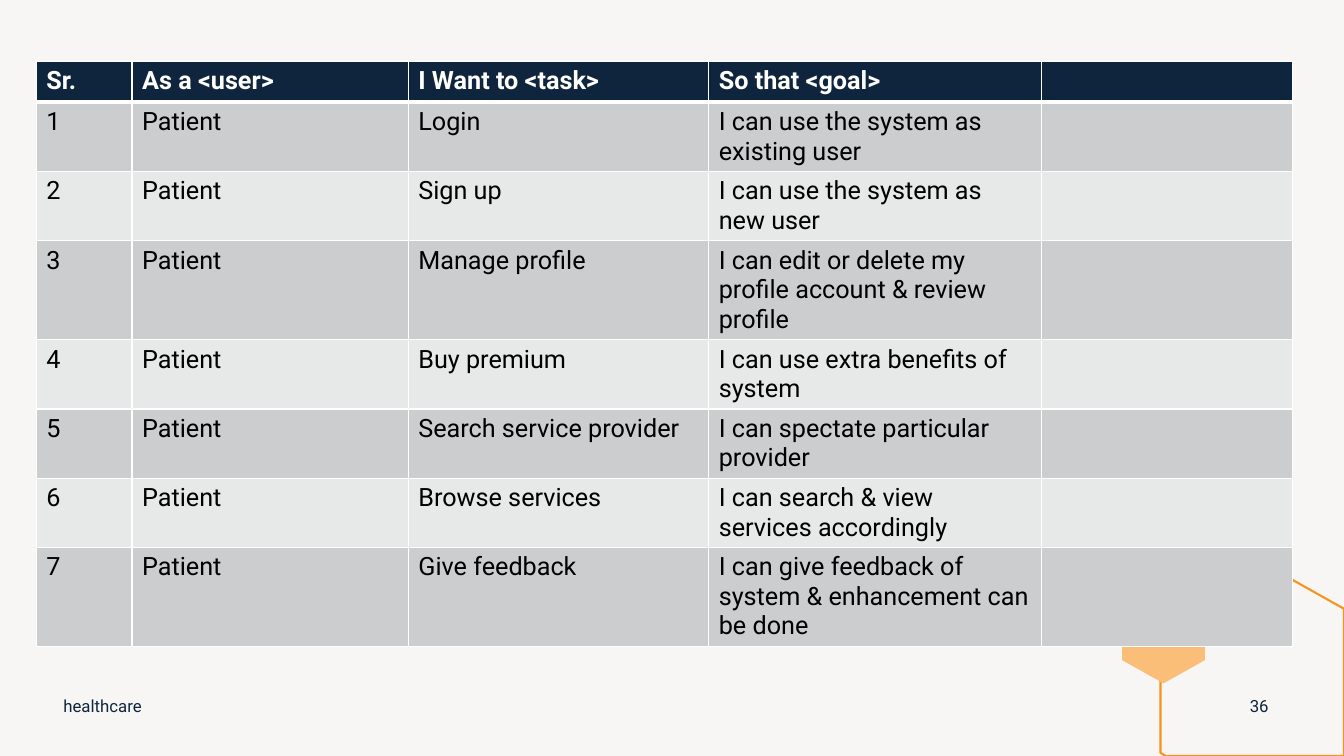
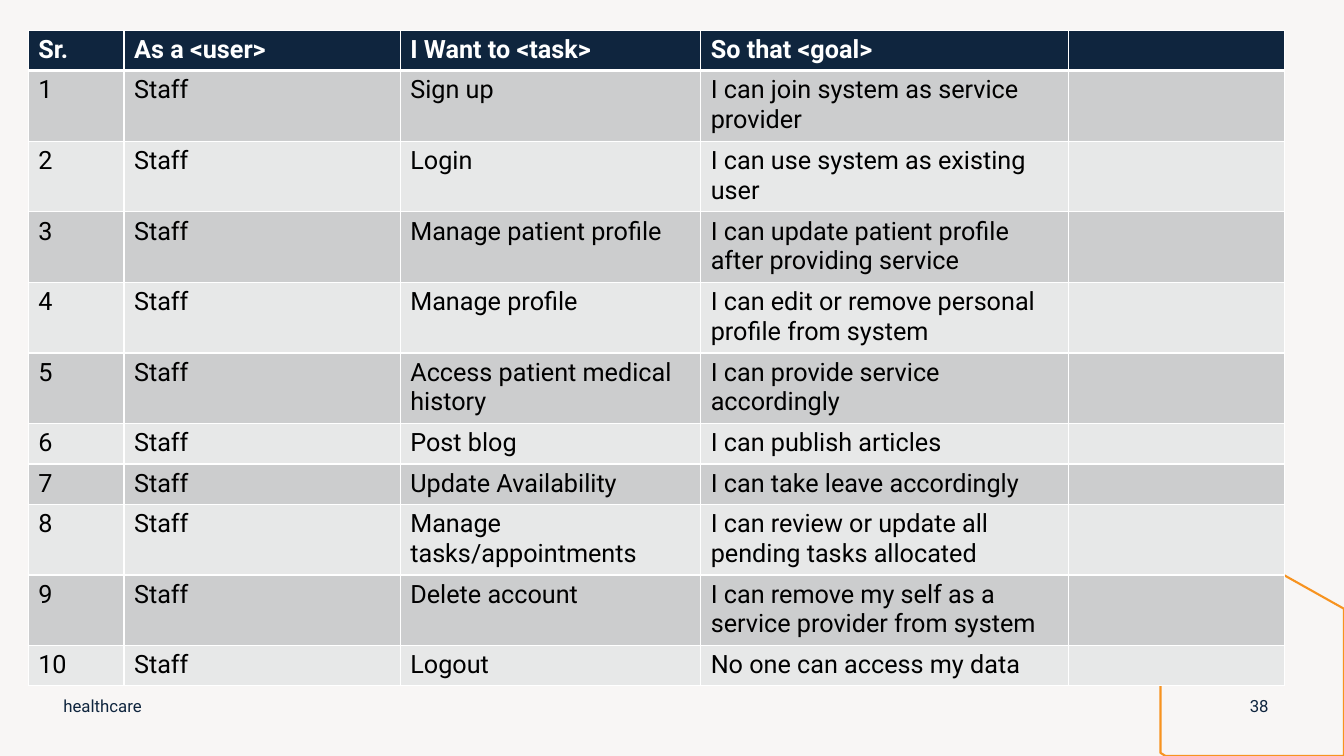
from lxml.etree import SubElement
from pptx import Presentation
from pptx.dml.color import RGBColor
from pptx.enum.text import MSO_ANCHOR, PP_ALIGN
from pptx.oxml.ns import qn
from pptx.util import Inches, Pt

FONT = "Roboto"
NAVY = "0F253E"
WHITE = "FFFFFF"
BLACK = "000000"
BACKGROUND = "F8F6F5"
ORANGE = "F79320"
PEACH = "FABE79"
BANDS = ("E7E8E8", "CCCDCE")

HEADINGS = ("Sr.", "As a <user>", "I Want to <task>", "So that <goal>", "")
LINE_HEIGHT = 0.29
CELL_PADDING = 0.1

LARGE_HEXAGON = [(12.6, 5.63), (13.33, 6.04), (13.33, 7.5),
                 (11.56, 7.5), (11.51, 7.47), (11.51, 6.25)]
SMALL_HEXAGON = [(11.54, 5.85), (11.95, 6.08), (11.95, 6.55),
                 (11.54, 6.78), (11.13, 6.55), (11.13, 6.08)]

# Each story holds the task, the goal and the number of text lines.
PATIENT_STORIES = [
    ("Login", "I can use the system as existing user", 2),
    ("Sign up", "I can use the system as new user", 2),
    ("Manage profile", "I can edit or delete my profile account & review profile", 3),
    ("Buy premium", "I can use extra benefits of system", 2),
    ("Search service provider", "I can spectate particular provider", 2),
    ("Browse services", "I can search & view services accordingly", 2),
    ("Give feedback", "I can give feedback of system & enhancement can be done", 3),
]
STAFF_STORIES = [
    ("Sign up", "I can join system as service provider", 2),
    ("Login", "I can use system as existing user", 2),
    ("Manage patient profile", "I can update patient profile after providing service", 2),
    ("Manage profile", "I can edit or remove personal profile from system", 2),
    ("Access patient medical history", "I can provide service accordingly", 2),
    ("Post blog", "I can publish articles", 1),
    ("Update Availability", "I can take leave accordingly", 1),
    ("Manage tasks/appointments", "I can review or update all pending tasks allocated", 2),
    ("Delete account", "I can remove my self as a service provider from system", 2),
    ("Logout", "No one can access my data", 1),
]


def color(value):
    """Return the colour for a hex string."""
    return RGBColor.from_string(value)


def add_run(paragraph, text, size, text_color, bold=False):
    """Add one styled run to a paragraph."""
    run = paragraph.add_run()
    run.text = text
    run.font.name = FONT
    run.font.size = Pt(size)
    run.font.bold = bold
    run.font.color.rgb = color(text_color)


def add_outline(slide, points, fill=None, line=None):
    """Draw a closed outline through points given in inches."""
    corners = [(Inches(x), Inches(y)) for x, y in points]
    builder = slide.shapes.build_freeform(*corners[0])
    builder.add_line_segments(corners[1:], close=True)
    shape = builder.convert_to_shape()
    shape.shadow.inherit = False
    if fill:
        shape.fill.solid()
        shape.fill.fore_color.rgb = color(fill)
    else:
        shape.fill.background()
    if line:
        shape.line.color.rgb = color(line)
        shape.line.width = Pt(1.5)
    else:
        shape.line.fill.background()


def add_footer_text(slide, text, left, width, alignment):
    """Add a text box on the footer line."""
    box = slide.shapes.add_textbox(Inches(left), Inches(6.8), Inches(width), Inches(0.4))
    frame = box.text_frame
    frame.word_wrap = True
    frame.vertical_anchor = MSO_ANCHOR.MIDDLE
    paragraph = frame.paragraphs[0]
    paragraph.alignment = alignment
    add_run(paragraph, text, 12, NAVY)


def set_borders(cell, top, bottom):
    """Give a cell white borders, with top and bottom widths in points."""
    properties = cell._tc.get_or_add_tcPr()
    for side, width in (("L", 1), ("R", 1), ("T", top), ("B", bottom)):
        line = SubElement(properties, qn(f"a:ln{side}"), w=str(Pt(width)))
        fill = SubElement(line, qn("a:solidFill"))
        SubElement(fill, qn("a:srgbClr"), val=WHITE)


def fill_cell(cell, text, row_index):
    """Style a cell by its row and write its text."""
    header = row_index == 0
    set_borders(cell, 3 if row_index == 1 else 1, 3 if header else 1)
    cell.fill.solid()
    cell.fill.fore_color.rgb = color(NAVY if header else BANDS[row_index % 2])
    if text:
        add_run(cell.text_frame.paragraphs[0], text, 18, WHITE if header else BLACK, header)


def add_story_table(slide, user, stories, left, top, widths):
    """Add the table of user stories under its heading row."""
    rows = [(HEADINGS, 1)]
    for number, (task, goal, lines) in enumerate(stories, 1):
        rows.append(((str(number), user, task, goal, ""), lines))
    heights = [CELL_PADDING + LINE_HEIGHT * lines for _, lines in rows]
    table = slide.shapes.add_table(
        len(rows), len(widths), Inches(left), Inches(top),
        Inches(sum(widths)), Inches(sum(heights))).table
    table.horz_banding = False
    for column, width in zip(table.columns, widths):
        column.width = Inches(width)
    for row_index, (texts, _) in enumerate(rows):
        table.rows[row_index].height = Inches(heights[row_index])
        for column_index, text in enumerate(texts):
            fill_cell(table.cell(row_index, column_index), text, row_index)


def add_story_slide(presentation, page, *table_details):
    """Add one slide with its hexagons, story table and footer."""
    slide = presentation.slides.add_slide(presentation.slide_layouts[6])
    background = slide.background.fill
    background.solid()
    background.fore_color.rgb = color(BACKGROUND)
    add_outline(slide, LARGE_HEXAGON, line=ORANGE)
    add_outline(slide, SMALL_HEXAGON, fill=PEACH)
    add_story_table(slide, *table_details)
    add_footer_text(slide, "healthcare", 0.53, 4.5, PP_ALIGN.LEFT)
    add_footer_text(slide, page, 12.24, 0.5, PP_ALIGN.CENTER)


def main():
    """Build and save the presentation."""
    presentation = Presentation()
    presentation.slide_width = Inches(13.33)
    presentation.slide_height = Inches(7.5)
    add_story_slide(presentation, "36", "Patient", PATIENT_STORIES,
                    0.36, 0.61, (0.95, 2.74, 2.98, 3.3, 2.49))
    add_story_slide(presentation, "38", "Staff", STAFF_STORIES,
                    0.28, 0.3, (0.95, 2.74, 2.98, 3.65, 2.14))
    presentation.save("out.pptx")


main()
